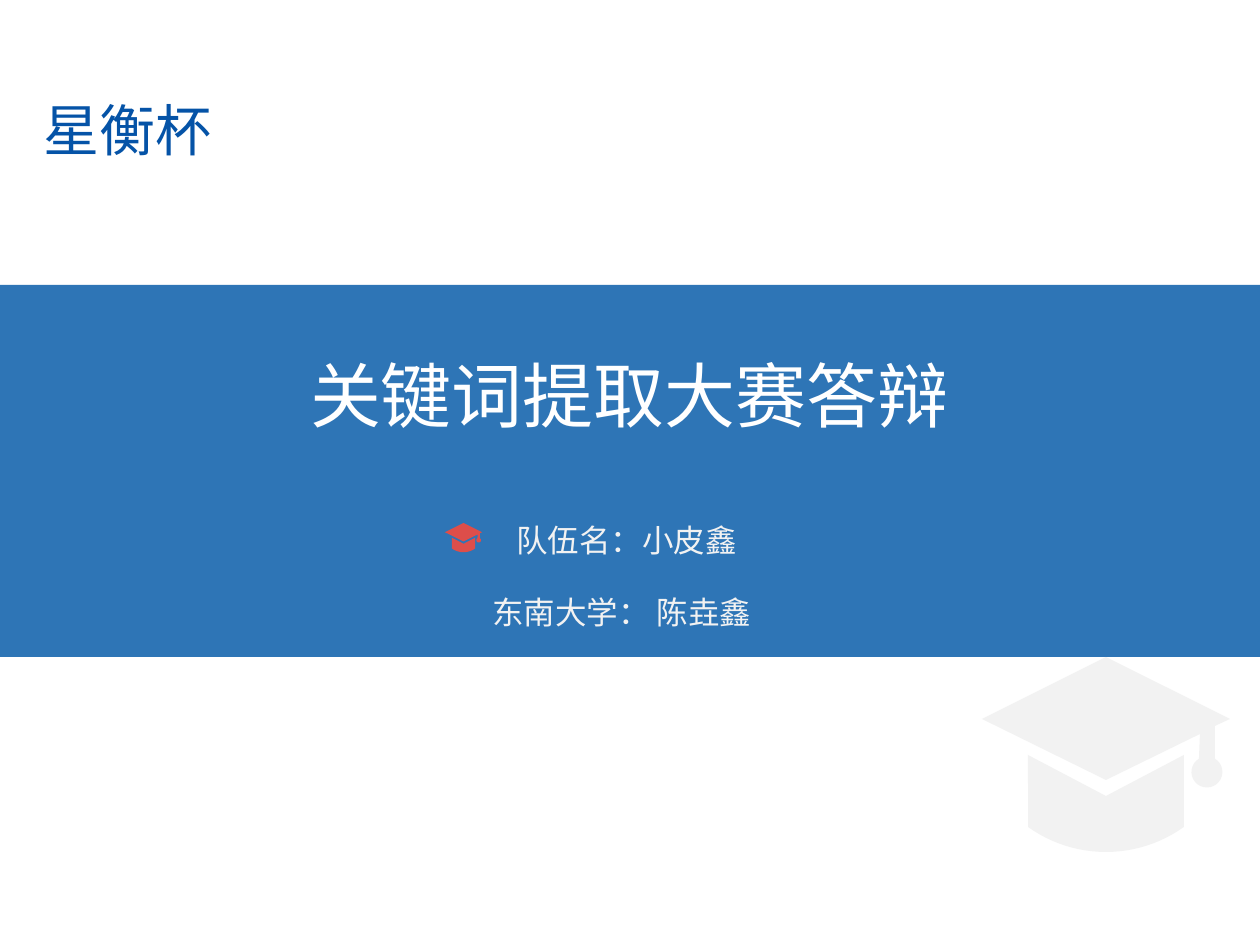
"""Build the cover slide of a keyword extraction contest talk."""
from math import cos, radians, sin

from lxml import etree
from pptx import Presentation
from pptx.dml.color import RGBColor
from pptx.enum.shapes import MSO_SHAPE
from pptx.enum.text import MSO_ANCHOR, MSO_AUTO_SIZE, PP_ALIGN
from pptx.oxml.ns import qn
from pptx.util import Pt

RECT = MSO_SHAPE.RECTANGLE
TOP = MSO_ANCHOR.TOP
NO_FIT = MSO_AUTO_SIZE.NONE
LEFT, CENTER = PP_ALIGN.LEFT, PP_ALIGN.CENTER

PX = 914400 // 126
FONT = "Noto Sans CJK SC"
BAND = ((-6, 285, 1271, 372), "2E75B6")
TITLE = ("关键词提取大赛答辩", (295, 345, 669, 98), 40.5, "FFFFFF")
TEXTS = [
    ("东南大学： 陈垚鑫", (480, 587, 300, 89), 18, "F2F2F2"),
    ("星衡杯", (31, 89, 339, 81), 32, "0553A7"),
    ("队伍名：小皮鑫", (504, 515, 252, 50), 18, "F2F2F2"),
]
CAPS = [(982, 657, 1, "F2F2F2"), (445, 523, 0.15, "DD4E4A")]


def color(value):
    return RGBColor.from_string(value)


def emu(box):
    return [v * PX for v in box]


def paint(shape, fill):
    shape.shadow.inherit = False
    shape.fill.solid()
    shape.fill.fore_color.rgb = color(fill)
    shape.line.fill.background()


def write(shape, text, size, fill, align=LEFT, wrap=True):
    tf = shape.text_frame
    tf.word_wrap = wrap
    tf.auto_size = NO_FIT
    tf.vertical_anchor = TOP
    p = tf.paragraphs[0]
    p.alignment = align
    r = p.add_run()
    r.text = text
    r.font.size = Pt(size)
    r.font.color.rgb = color(fill)
    r.font.name = FONT
    latin = r.font._element.find(qn("a:latin"))
    ea = etree.Element(qn("a:ea"), typeface=FONT)
    latin.addnext(ea)


def arc(cx, cy, radius, start, end, steps=24):
    angles = [radians(start + (end - start) * i / steps) for i in range(steps + 1)]
    return [(cx + radius * cos(a), cy + radius * sin(a)) for a in angles]


def add_cap(s, left, top, scale, fill):
    board = [(0, 62), (124, 0), (248, 62), (233, 69),
             *arc(225, 115, 15.5, -59, 239), (218, 77), (124, 123)]
    body = [(46, 98), (124, 139), (202, 98), *arc(124, 61, 134, 54.5, 125.5)]
    outlines = [[((left + x * scale) * PX, (top + y * scale) * PX) for x, y in part]
                for part in (board, body)]
    builder = s.shapes.build_freeform(*outlines[0][0], scale=1.0)
    builder.add_line_segments(outlines[0][1:], close=True)
    builder.move_to(*outlines[1][0])
    builder.add_line_segments(outlines[1][1:], close=True)
    paint(builder.convert_to_shape(), fill)


def main():
    prs = Presentation()
    prs.slide_width, prs.slide_height = 1260 * PX, 945 * PX
    s = prs.slides.add_slide(prs.slide_layouts[5])

    title = s.shapes.title
    text, box, size, fill = TITLE
    title.left, title.top, title.width, title.height = emu(box)
    write(title, text, size, fill, CENTER, wrap=False)

    box, fill = BAND
    band = s.shapes.add_shape(RECT, *emu(box))
    paint(band, fill)
    title.element.addprevious(band.element)

    for cap in CAPS:
        add_cap(s, *cap)
    for text, box, size, fill in TEXTS:
        write(s.shapes.add_textbox(*emu(box)), text, size, fill)

    prs.save("out.pptx")


if __name__ == "__main__":
    main()
